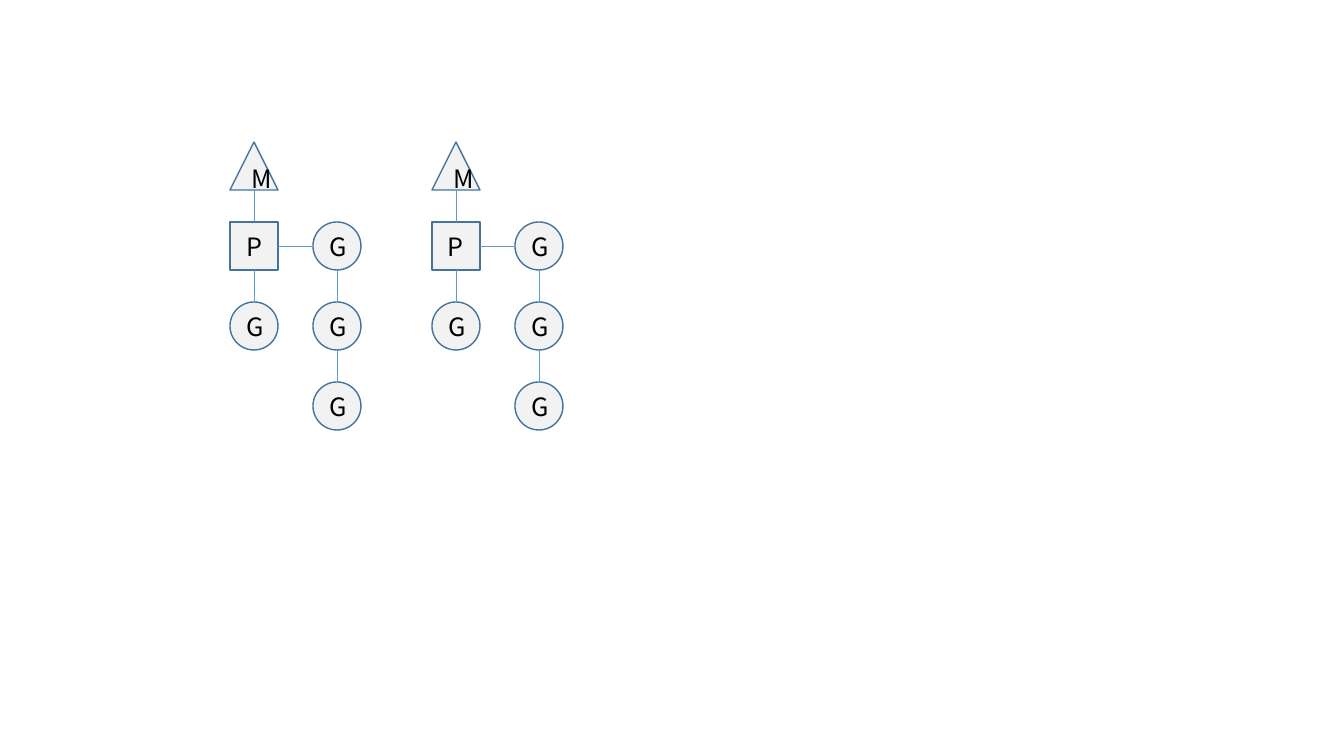
import pptx
import pptx.util
import pptx.dml.color
import pptx.enum.shapes
import pptx.enum.text
import pptx.oxml.ns
import lxml.etree

SHAPE = pptx.enum.shapes.MSO_SHAPE
GREY = pptx.dml.color.RGBColor(0xF2, 0xF2, 0xF2)
NAVY = pptx.dml.color.RGBColor(0x43, 0x73, 0x9E)
BLUE = pptx.dml.color.RGBColor(0x5B, 0x9B, 0xD5)
BLACK = pptx.dml.color.RGBColor(0, 0, 0)
FONT = "Noto Sans CJK SC"

SIZE = 48
COL, ROW = 83, 80
KINDS = {"M": SHAPE.ISOSCELES_TRIANGLE, "P": SHAPE.RECTANGLE, "G": SHAPE.OVAL}
# (column, row) of each node in a tree
NODES = {(0, 0): "M", (0, 1): "P", (0, 2): "G",
         (1, 1): "G", (1, 3): "G", (1, 2): "G"}
LINKS = [((0, 0), (0, 1)), ((0, 1), (0, 2)), ((0, 1), (1, 1)),
         ((1, 1), (1, 2)), ((1, 2), (1, 3))]


def px(n):
    return pptx.util.Emu(round(n * 914400 / 100.8))


def add_node(slide, x, y, text):
    node = slide.shapes.add_shape(KINDS[text], px(x), px(y), px(SIZE), px(SIZE))
    node.shadow.inherit = False
    node.fill.solid()
    node.fill.fore_color.rgb = GREY
    node.line.color.rgb = NAVY
    node.line.width = pptx.util.Pt(1)
    frame = node.text_frame
    frame.vertical_anchor = pptx.enum.text.MSO_ANCHOR.MIDDLE
    para = frame.paragraphs[0]
    para.text = text
    para.alignment = pptx.enum.text.PP_ALIGN.CENTER
    para.font.name = FONT
    para.font.size = pptx.util.Pt(18)
    para.font.color.rgb = BLACK
    return node


def add_link(slide, start, end):
    """Join two nodes, sideways if they share a row, else downwards."""
    side = start.top == end.top
    if side:
        y = start.top + start.height // 2
        ends = start.left + start.width, y, end.left, y
    else:
        x = start.left + start.width // 2
        ends = x, start.top + start.height, x, end.top
    line = slide.shapes.add_connector(
        pptx.enum.shapes.MSO_CONNECTOR.STRAIGHT, *ends)
    if start.auto_shape_type == SHAPE.RECTANGLE:
        line.begin_connect(start, 3 if side else 2)
    if end.auto_shape_type == SHAPE.RECTANGLE:
        line.end_connect(end, 1 if side else 0)
    line.line.color.rgb = BLUE
    line.line.width = pptx.util.Pt(0.5)
    lxml.etree.SubElement(line._element.spPr, pptx.oxml.ns.qn("a:effectLst"))


def add_tree(slide, left, top):
    nodes = {(col, row): add_node(slide, left + col * COL, top + row * ROW, text)
             for (col, row), text in NODES.items()}
    for start, end in LINKS:
        add_link(slide, nodes[start], nodes[end])


def main():
    deck = pptx.Presentation()
    deck.slide_width, deck.slide_height = px(1344), px(756)
    slide = deck.slides.add_slide(deck.slide_layouts.get_by_name("Blank"))
    for left in (230, 432):
        add_tree(slide, left, 142)
    deck.save("out.pptx")


if __name__ == "__main__":
    main()
